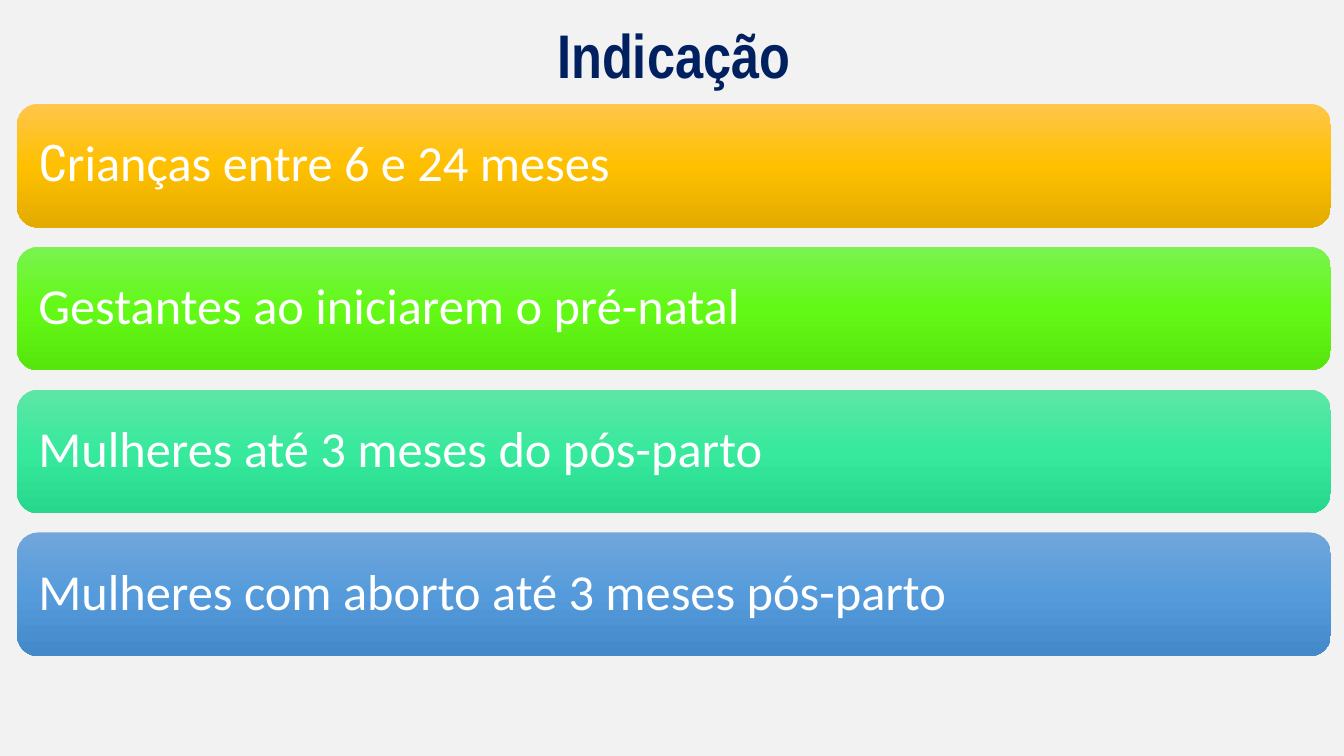
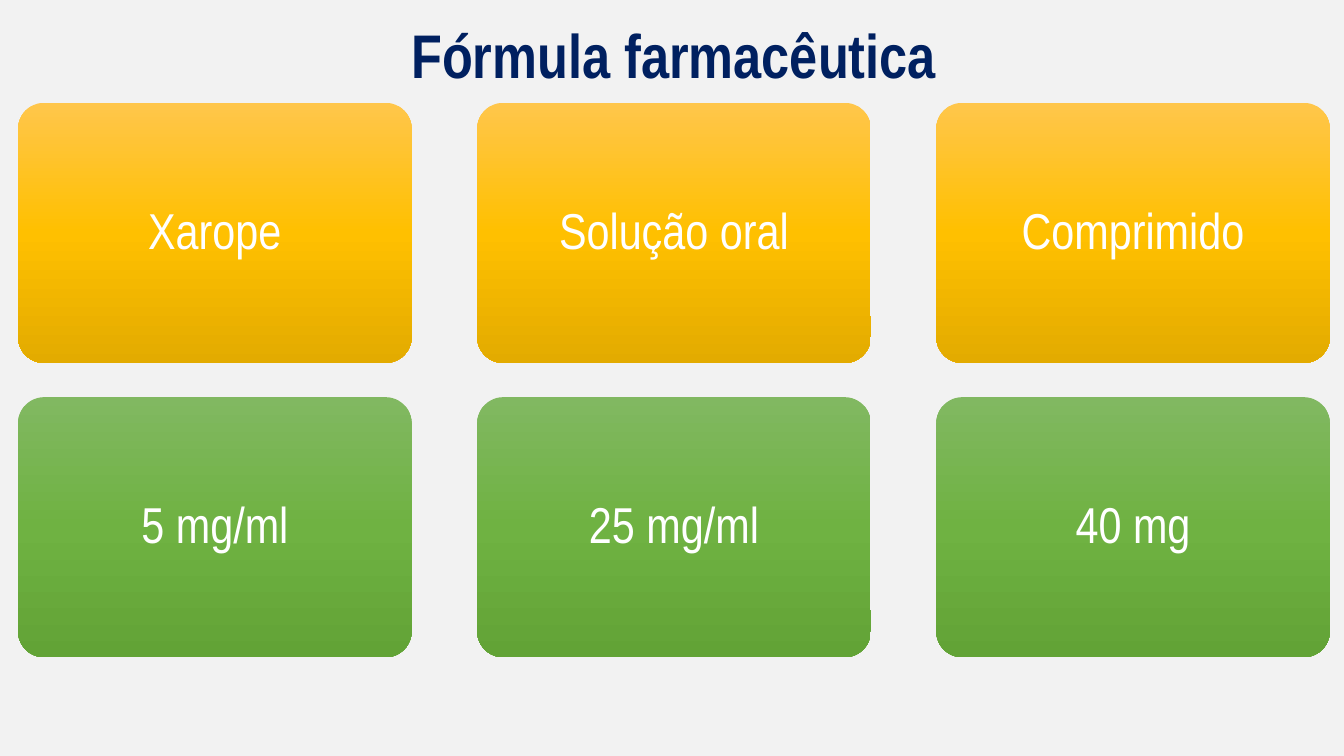
from copy import deepcopy
from pptx import Presentation
from pptx.dml.color import RGBColor
from pptx.enum.shapes import MSO_SHAPE
from pptx.enum.text import MSO_ANCHOR, PP_ALIGN
from pptx.oxml.ns import qn
from pptx.util import Inches, Pt

ROUND = MSO_SHAPE.ROUNDED_RECTANGLE
MIDDLE = MSO_ANCHOR.MIDDLE
LEFT, CENTER = PP_ALIGN.LEFT, PP_ALIGN.CENTER

# Shared style
WIDE, HIGH = 13.33, 7.5
PAPER, NAVY, WHITE = "F2F2F2", "002060", "FFFFFF"
NARROW, BODY, ROBOTO = "Arial Narrow", "Calibri", "Roboto Condensed"
GOLD = ("FFC64B", "FFC000", "E3AB00")
LIME = ("7AF350", "63F916", "56E50C")
MINT = ("5EE6A6", "37E99C", "27D88C")
BLUE = ("71A6DB", "559BDB", "448ACA")
GREEN = ("81B861", "6FB242", "62A336")


def color(code):
    return RGBColor.from_string(code)


class Deck:
    def __init__(self):
        self.file = Presentation()
        self.file.slide_width = Inches(WIDE)
        self.file.slide_height = Inches(HIGH)
        self.slide = None

    def page(self, title):
        """Start a slide with the common ground and title."""
        self.slide = self.file.slides.add_slide(self.file.slide_layouts[6])
        ground = self.slide.background.fill
        ground.solid()
        ground.fore_color.rgb = color(PAPER)
        box = self.slide.shapes.add_textbox(
            *map(Inches, (0.17, 0.15, 13.03, 0.86)))
        self.label(box, [(title, NARROW)], 44, NAVY, CENTER, bold=True)

    def label(self, shape, runs, size, ink, align, bold=False):
        """Fill a shape with one paragraph of (text, font) runs."""
        frame = shape.text_frame
        frame.word_wrap = True
        frame.vertical_anchor = MIDDLE
        para = frame.paragraphs[0]
        para.alignment = align
        para.line_spacing = 0.9
        for text, face in runs:
            run = para.add_run()
            run.text = text
            font = run.font
            font.name, font.size, font.bold = face, Pt(size), bold
            font.color.rgb = color(ink)

    def shade(self, shape, tones):
        """Apply a three-tone gradient from top to bottom."""
        fill = shape.fill
        fill.gradient()
        fill.gradient_angle = 270
        stops = shape._element.spPr.find(qn("a:gradFill")).find(qn("a:gsLst"))
        stops.append(deepcopy(stops[-1]))
        for stop, tone, place in zip(fill.gradient_stops, tones, (0, 0.5, 1)):
            stop.color.rgb = color(tone)
            stop.position = place

    def card(self, area, tones, runs, align, bend):
        """Add one rounded card with its text."""
        shape = self.slide.shapes.add_shape(ROUND, *map(Inches, area))
        shape.adjustments[0] = bend
        shape.shadow.inherit = False
        shape.line.fill.background()
        self.shade(shape, tones)
        frame = shape.text_frame
        frame.margin_left = frame.margin_right = Inches(0.15)
        frame.margin_top = frame.margin_bottom = Inches(0.15)
        self.label(shape, runs, 36, WHITE, align)

    def grid(self, rows, area, gaps, align, bend):
        """Lay out rows of (tones, cells) in equal cards within an area."""
        left, top, wide, high = area
        across, down = gaps
        cols = len(rows[0][1])
        step_x = (wide + across) / cols
        step_y = (high + down) / len(rows)
        for row, (tones, cells) in enumerate(rows):
            for col, runs in enumerate(cells):
                spot = (left + col * step_x, top + row * step_y,
                        step_x - across, step_y - down)
                self.card(spot, tones, runs, align, bend)


def main():
    deck = Deck()

    # Who should receive it
    deck.page("Indicação")
    groups = [
        (GOLD, [("C", ROBOTO), ("rianças entre 6 e 24 meses", BODY)]),
        (LIME, [("Gestantes ao iniciarem o pré-natal", BODY)]),
        (MINT, [("Mulheres até 3 meses do pós-parto", BODY)]),
        (BLUE, [("Mulheres com aborto até 3 meses pós-parto", BODY)]),
    ]
    bars = [(tones, [runs]) for tones, runs in groups]
    deck.grid(bars, (0.17, 1.03, 13.03, 5.48), (0, 0.19), LEFT, 0.17)

    # Forms and their doses
    deck.page("Fórmula farmacêutica")
    forms = [
        (GOLD, ("Xarope", "Solução oral", "Comprimido")),
        (GREEN, ("5 mg/ml", "25 mg/ml", "40 mg")),
    ]
    cards = [(tones, [[(text, NARROW)] for text in texts])
             for tones, texts in forms]
    deck.grid(cards, (0.18, 1.02, 13.01, 5.5), (0.65, 0.34), CENTER, 0.1)

    deck.file.save("out.pptx")


if __name__ == "__main__":
    main()
